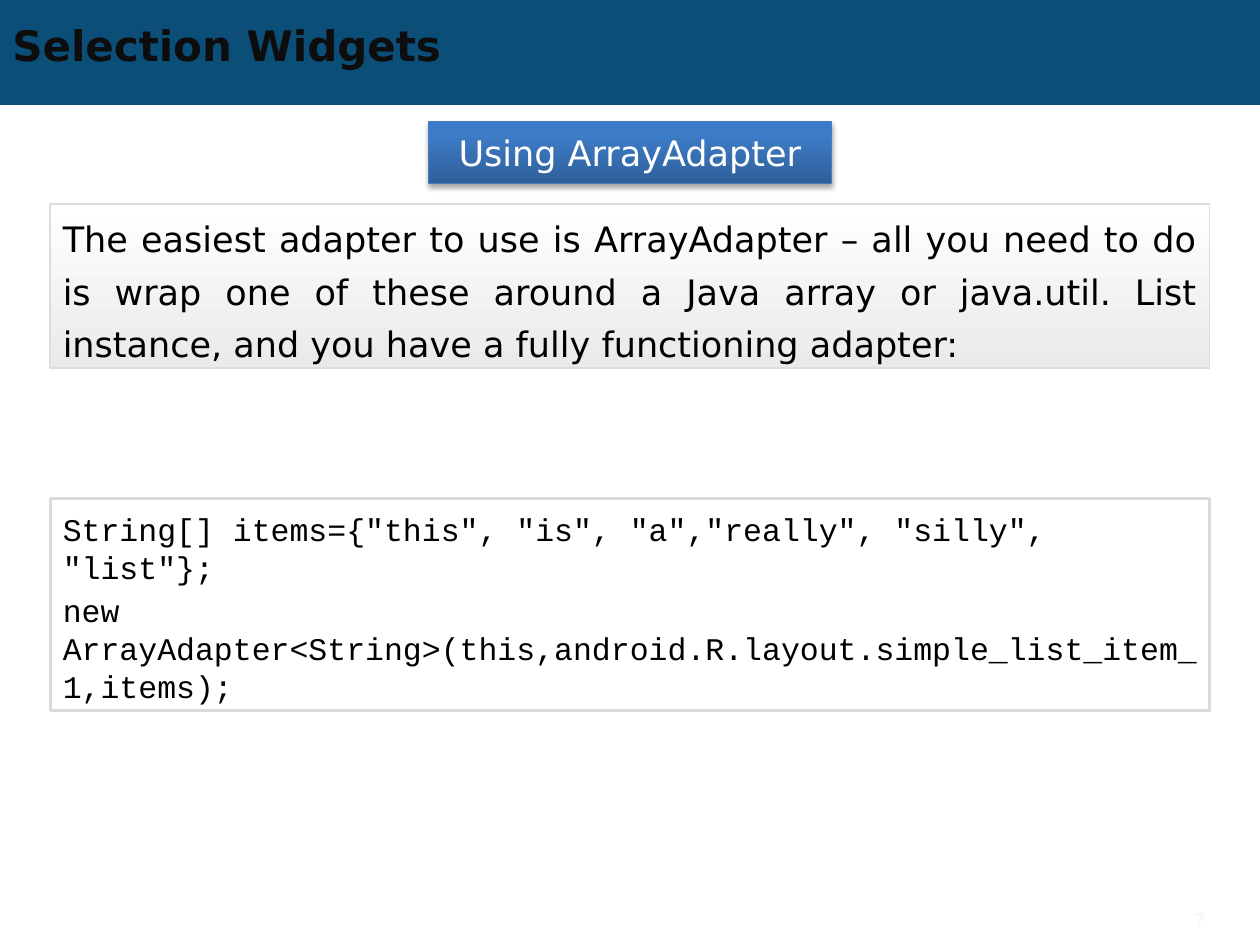
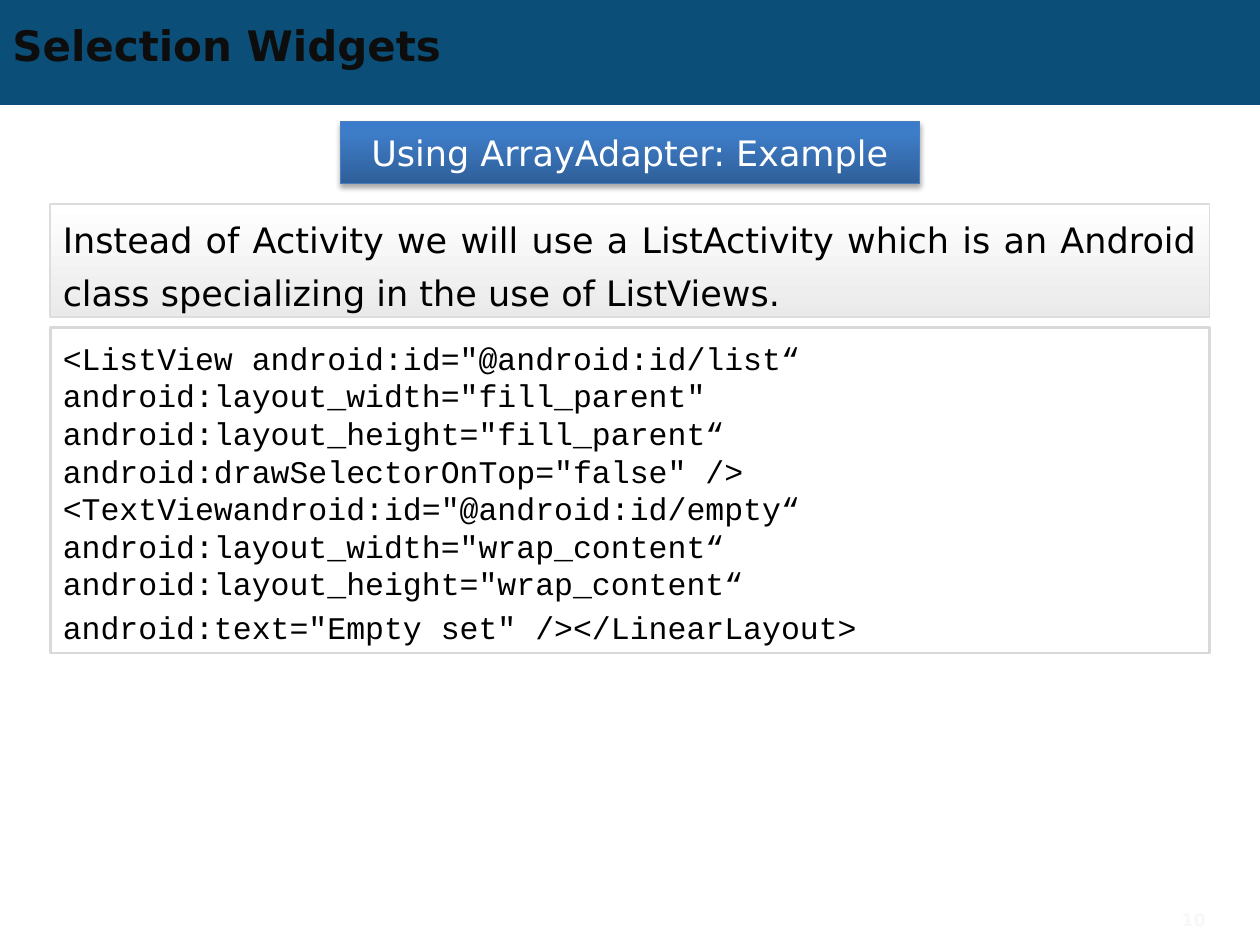
from lxml.etree import SubElement
from pptx import Presentation
from pptx.dml.color import RGBColor
from pptx.enum.shapes import MSO_SHAPE
from pptx.enum.text import MSO_ANCHOR, PP_ALIGN
from pptx.oxml.ns import qn
from pptx.util import Pt

SANS, MONO = "DejaVu Sans", "Courier New"
WIDE, HIGH = 720, 540
EDGE = 28.8
INNER = WIDE - 2 * EDGE
BLUES = [(0, "2F5F99"), (80, "3D7CC7"), (100, "3A7CCB")]
GREYS = [(0, "FFFFFF"), (100, "EAEAEA")]


def tint(code):
    return RGBColor.from_string(code)


def blend(shape, stops, angle):
    """Fill with a linear gradient; the angle runs clockwise in degrees."""
    shape.fill.gradient()
    grad = shape._element.spPr.find(qn("a:gradFill"))
    for child in list(grad):
        grad.remove(child)
    group = SubElement(grad, qn("a:gsLst"))
    for place, code in stops:
        stop = SubElement(group, qn("a:gs"), pos=str(place * 1000))
        SubElement(stop, qn("a:srgbClr"), val=code)
    SubElement(grad, qn("a:lin"), ang=str(angle * 60000), scaled="0")


def shade(shape):
    """Add a soft shadow that falls straight down."""
    effects = shape._element.spPr.find(qn("a:effectLst"))
    outer = SubElement(effects, qn("a:outerShdw"), blurRad=str(Pt(3.1)),
                       dist=str(Pt(1.8)), dir="5400000", rotWithShape="0")
    color = SubElement(outer, qn("a:srgbClr"), val="000000")
    SubElement(color, qn("a:alpha"), val="35000")


class Deck:
    def __init__(self):
        self.show = Presentation()
        self.show.slide_width = Pt(WIDE)
        self.show.slide_height = Pt(HIGH)
        self.slide = None

    def page(self, title, number):
        self.slide = self.show.slides.add_slide(self.show.slide_layouts[6])
        band = self.rect(0, 0, WIDE, 60)
        band.fill.solid()
        band.fill.fore_color.rgb = tint("0B4E78")
        self.label(0, 10, 648, 31, title, 24, "0D0D0D")
        self.label(528, 511, 168, 29, number, 10, "F8F8F8", PP_ALIGN.RIGHT)

    def rect(self, x, y, w, h, line=None, width=1):
        shape = self.slide.shapes.add_shape(
            MSO_SHAPE.RECTANGLE, Pt(x), Pt(y), Pt(w), Pt(h))
        shape.shadow.inherit = False
        shape.fill.background()
        if line:
            shape.line.color.rgb = tint(line)
            shape.line.width = Pt(width)
        else:
            shape.line.fill.background()
        return shape

    def put(self, shape, texts, size, color="000000", font=SANS, bold=False,
            align=PP_ALIGN.LEFT, anchor=MSO_ANCHOR.MIDDLE, pitch=None, gap=0):
        """Set one paragraph per text; pitch is the line height, gap the space between."""
        frame = shape.text_frame
        frame.word_wrap = True
        frame.vertical_anchor = anchor
        for i, text in enumerate(texts):
            para = frame.add_paragraph() if i else frame.paragraphs[0]
            para.alignment = align
            if pitch:
                para.line_spacing = Pt(pitch)
            if i:
                para.space_before = Pt(gap)
            run = para.add_run()
            run.text = text
            run.font.name = font
            run.font.size = Pt(size)
            run.font.bold = bold
            run.font.color.rgb = tint(color)

    def label(self, x, y, w, h, text, size, color, align=PP_ALIGN.LEFT):
        box = self.slide.shapes.add_textbox(Pt(x), Pt(y), Pt(w), Pt(h))
        self.put(box, [text], size, color, bold=True, align=align)

    def topic(self, text, width):
        shape = self.rect((WIDE - width) / 2, 69.6, width, 35.5, "4B7EBC", 0.75)
        blend(shape, BLUES, 270)
        shade(shape)
        self.put(shape, [text], 20, "FFFFFF", align=PP_ALIGN.CENTER)

    def note(self, text, height):
        shape = self.rect(EDGE, 116.6, INNER, height, "DDDDDD")
        blend(shape, GREYS, 90)
        self.put(shape, [text], 20, align=PP_ALIGN.JUSTIFY, pitch=30)

    def code(self, texts, top, height):
        shape = self.rect(EDGE, top, INNER, height, "D9D9D9", 1.5)
        shape.text_frame.margin_top = Pt(6.5)
        shape.text_frame.margin_right = Pt(7)
        self.put(shape, texts, 18, font=MONO, anchor=MSO_ANCHOR.TOP,
                 pitch=21.5, gap=3.6)


def main():
    deck = Deck()
    title = "Selection Widgets"

    deck.page(title, "7")
    deck.topic("Using ArrayAdapter", 230.4)
    deck.note("The easiest adapter to use is ArrayAdapter – all you need to do is "
              "wrap one of these around a Java array or java.util. List instance, "
              "and you have a fully functioning adapter:", 93.6)
    deck.code(['String[] items={"this", "is", "a","really", "silly", "list"};',
               "new ArrayAdapter<String>(this,"
               "android.R.layout.simple_list_item_1,items);"], 285, 121)

    deck.page(title, "10")
    deck.topic("Using ArrayAdapter: Example", 331.2)
    deck.note("Instead of Activity we will use a ListActivity which is an Android "
              "class specializing in the use of ListViews.", 64.8)
    deck.code(['<ListView android:id="@android:id/list“ '
               'android:layout_width="fill_parent" '
               'android:layout_height="fill_parent“ '
               'android:drawSelectorOnTop="false" /> '
               '<TextViewandroid:id="@android:id/empty“ '
               'android:layout_width="wrap_content“ '
               'android:layout_height="wrap_content“',
               'android:text="Empty set" /></LinearLayout>'], 187.2, 186)

    deck.show.save("out.pptx")


if __name__ == "__main__":
    main()
